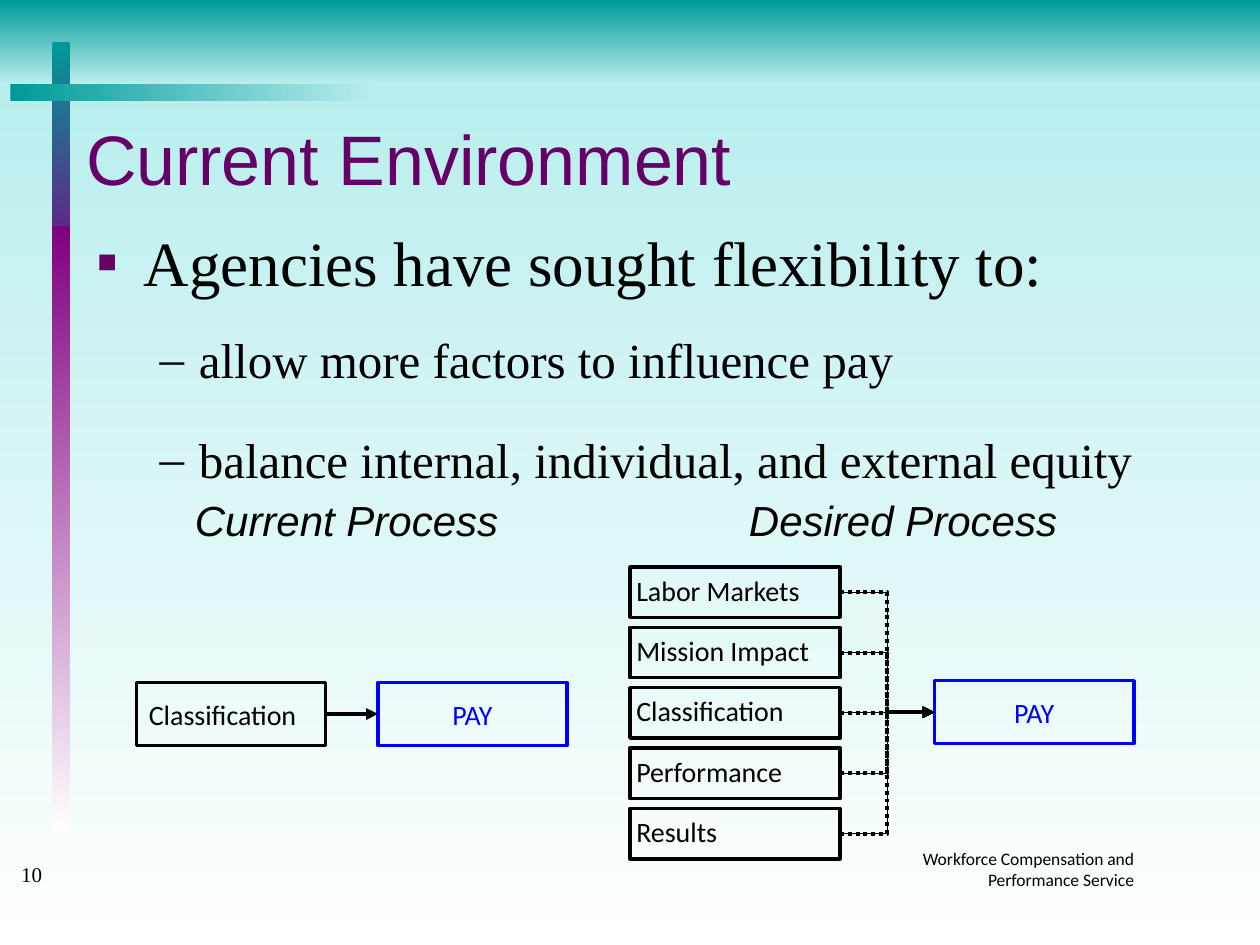
from lxml import etree
from pptx import Presentation
from pptx.dml.color import RGBColor
from pptx.enum import dml, shapes, text
from pptx.oxml import ns
from pptx.util import Pt

COLORS = {
    "teal": "009999", "mist": "B9EEED", "white": "FFFFFF", "violet": "800080",
    "plum": "660066", "black": "000000", "blue": "0000FF",
}
RGB = {name: RGBColor.from_string(value) for name, value in COLORS.items()}
LEFT, CENTER, RIGHT = text.PP_ALIGN.LEFT, text.PP_ALIGN.CENTER, text.PP_ALIGN.RIGHT
TOP, MIDDLE = text.MSO_ANCHOR.TOP, text.MSO_ANCHOR.MIDDLE


def write(shape, wording, font, size, color="black", align=LEFT, anchor=TOP,
          italic=False, wrap=True, insets=(7.2, 7.2)):
    frame = shape.text_frame
    layout = {"word_wrap": wrap, "auto_size": text.MSO_AUTO_SIZE.NONE,
              "vertical_anchor": anchor,
              "margin_left": Pt(insets[0]), "margin_right": Pt(insets[1]),
              "margin_top": Pt(3.6), "margin_bottom": Pt(3.6)}
    for key, value in layout.items():
        setattr(frame, key, value)
    paragraph = frame.paragraphs[0]
    paragraph.alignment = align
    run = paragraph.add_run()
    run.text = wording
    for key, value in {"name": font, "size": Pt(size), "italic": italic}.items():
        setattr(run.font, key, value)
    run.font.color.rgb = RGB[color]


def connect(kind, source, target, width, dash=None):
    link = slide.shapes.add_connector(kind, 0, 0, 0, 0)
    link.begin_connect(source, 3)
    link.end_connect(target, 1)
    link.line.color.rgb = RGB["black"]
    link.line.width = Pt(width)
    if dash:
        link.line.dash_style = dash
    etree.SubElement(link.line._get_or_add_ln(), ns.qn("a:tailEnd"), type="triangle")
    etree.SubElement(link._element.spPr, ns.qn("a:effectLst"))


deck = Presentation()
deck.slide_width, deck.slide_height = Pt(720), Pt(540)
slide = deck.slides.add_slide(deck.slide_layouts[1])
title, body = slide.placeholders[0], slide.placeholders[1]

# Backdrop and the crossed bars, behind the placeholders
bands = [
    (0, 0, 720, 48, "teal", "mist", 270),
    (0, 48, 720, 492, "mist", "white", 270),
    (30, 24, 10, 144, "teal", "violet", 270),
    (30, 129, 10, 346, "violet", "white", 270),
    (6, 48, 208, 10, "teal", "mist", 0),
]
for position, (x, y, w, h, start, end, angle) in enumerate(bands):
    band = slide.shapes.add_shape(shapes.MSO_SHAPE.RECTANGLE, Pt(x), Pt(y), Pt(w), Pt(h))
    band.shadow.inherit = False
    band.line.fill.background()
    band.fill.gradient()
    band.fill.gradient_angle = angle
    for stop, color in zip(band.fill.gradient_stops, (start, end)):
        stop.color.rgb = RGB[color]
    slide.shapes._spTree.insert(2 + position, band._element)

# Title and list
for holder, box in ((title, (42, 54, 612, 72)), (body, (48, 120, 660, 360))):
    holder.left, holder.top, holder.width, holder.height = map(Pt, box)
write(title, "Current Environment", "Arial", 40, "plum", anchor=MIDDLE)

points = [  # wording, level, size, space before, indent, hanging, bullet, bullet colour
    ("Agencies have sought flexibility to:", 0, 36, 0, 27, 27, "▪", "plum"),
    ("allow more factors to influence pay", 1, 28, 14, 58.5, 22.5, "–", "black"),
    ("balance internal, individual, and external equity", 1, 28, 20, 58.5, 22.5, "–", "black"),
]
write(body, points[0][0], "Times New Roman", points[0][2])
for wording, *_ in points[1:]:
    body.text_frame.add_paragraph().add_run().text = wording
for paragraph, point in zip(body.text_frame.paragraphs, points):
    _, level, size, before, indent, hanging, bullet, bullet_color = point
    for key, value in {"level": level, "line_spacing": 1.1, "space_before": Pt(before)}.items():
        setattr(paragraph, key, value)
    props = paragraph._p.get_or_add_pPr()
    props.set("marL", str(Pt(indent)))
    props.set("indent", str(-Pt(hanging)))
    tint = etree.SubElement(props, ns.qn("a:buClr"))
    etree.SubElement(tint, ns.qn("a:srgbClr"), val=COLORS[bullet_color])
    etree.SubElement(props, ns.qn("a:buFont"), typeface="Times New Roman")
    etree.SubElement(props, ns.qn("a:buChar"), char=bullet)
    font = paragraph.runs[0].font
    font.name, font.size = "Times New Roman", Pt(size)
    font.color.rgb = RGB["black"]

# Process headings, footer and page number
captions = [
    (78, 279, 240, 36, "Current Process", "Arial", 24,
     {"align": CENTER, "italic": True}),
    (396, 279, 240, 36, "Desired Process", "Arial", 24,
     {"align": CENTER, "italic": True}),
    (504, 481, 144, 32, "Workforce Compensation and Performance Service", "Calibri", 10,
     {"align": RIGHT, "insets": (7.2, 0)}),
    (5, 489, 64, 22, "10", "Times New Roman", 12, {"wrap": False}),
]
for x, y, w, h, wording, font, size, style in captions:
    caption = slide.shapes.add_textbox(Pt(x), Pt(y), Pt(w), Pt(h))
    write(caption, wording, font, size, **style)

# Process boxes: current step, its pay, desired pay, then the five factors
pay_style = {"color": "blue", "align": CENTER, "anchor": MIDDLE}
boxes = [
    (78, 390, 108, 36, "Classification", {"anchor": MIDDLE}),
    (216, 390, 108, 36, "PAY", pay_style),
    (534, 389, 114, 36, "PAY", pay_style),
]
factors = ["Labor Markets", "Mission Impact", "Classification", "Performance", "Results"]
boxes += [(360, 324 + 34.5 * row, 120, 28.8, factor, {"insets": (3.6, 3.6)})
          for row, factor in enumerate(factors)]
steps = []
for x, y, w, h, wording, style in boxes:
    step = slide.shapes.add_shape(shapes.MSO_SHAPE.RECTANGLE, Pt(x), Pt(y), Pt(w), Pt(h))
    step.shadow.inherit = False
    step.fill.background()
    step.line.color.rgb = RGB[style.get("color", "black")]
    step.line.width = Pt(2)
    write(step, wording, "Calibri", 16, **style)
    steps.append(step)

# Arrows: one for the current process, dotted over thin for each factor
current_step, current_pay, desired_pay, *factor_steps = steps
connect(shapes.MSO_CONNECTOR.STRAIGHT, current_step, current_pay, 2.25)
for width, dash in ((2.25, dml.MSO_LINE.ROUND_DOT), (0.75, None)):
    for factor_step in factor_steps:
        connect(shapes.MSO_CONNECTOR.ELBOW, factor_step, desired_pay, width, dash)

deck.save("out.pptx")
